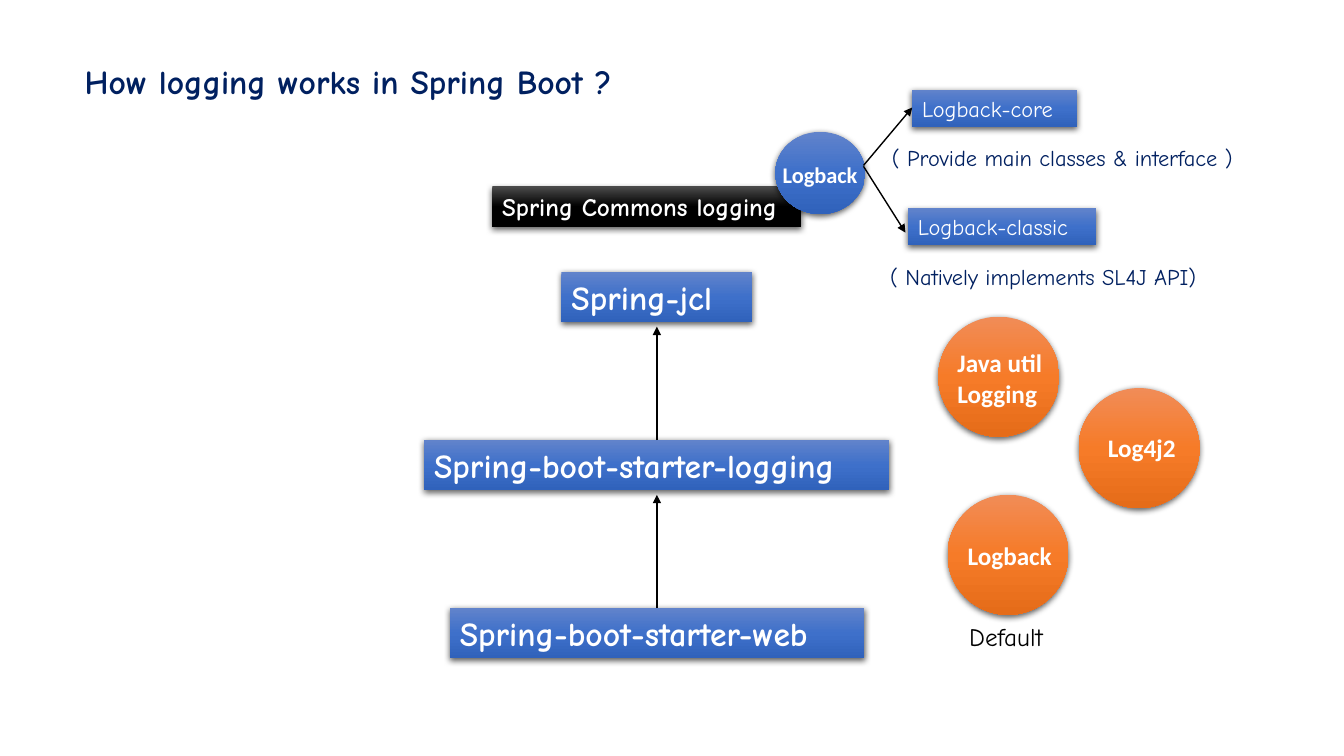
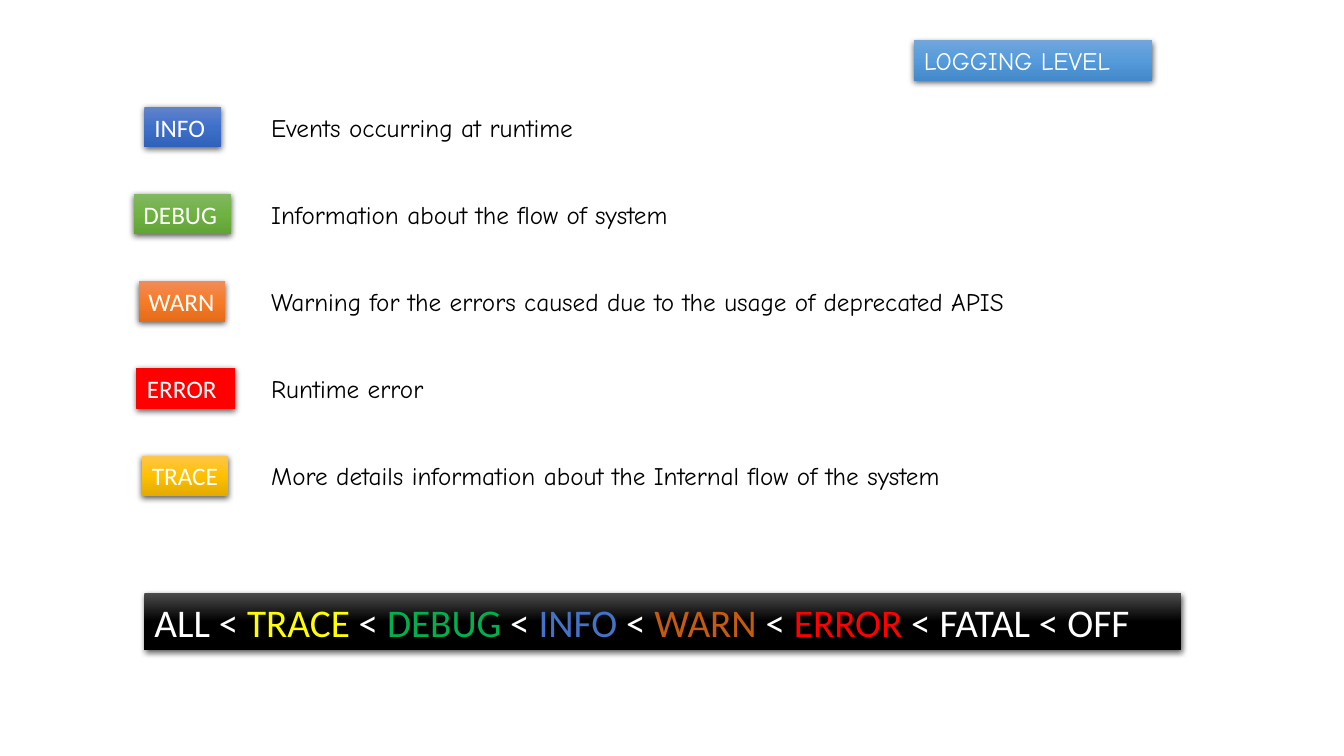
"""Build two slides on logging: how the parts connect, and the log levels."""
from copy import deepcopy
from itertools import pairwise
from typing import NamedTuple

from lxml.etree import SubElement
from pptx import Presentation
from pptx.dml.color import RGBColor as RGB
from pptx.enum.shapes import MSO_CONNECTOR as Link, MSO_SHAPE as Kind
from pptx.enum.text import MSO_ANCHOR as Anchor, MSO_AUTO_SIZE as Fit, PP_ALIGN as Align
from pptx.oxml.ns import qn
from pptx.shapes.autoshape import Shape
from pptx.slide import Slide
from pptx.util import Emu, Inches, Pt

WIDE, HIGH = Inches(13.33), Inches(7.5)
COLS, ROWS = 160, 90
COMIC, PLAIN = "Comic Neue", "Calibri"

WHITE = RGB(0xFF, 0xFF, 0xFF)
BLACK = RGB(0x00, 0x00, 0x00)
NAVY = RGB(0x00, 0x20, 0x60)
RED = RGB(0xFF, 0x00, 0x00)
YELLOW = RGB(0xFF, 0xFF, 0x00)
LEAF = RGB(0x00, 0xB0, 0x50)
AZURE = RGB(0x44, 0x72, 0xC4)
RUST = RGB(0xC5, 0x5A, 0x11)

Shade = tuple[RGB, ...]
BLUE: Shade = (RGB(0x61, 0x83, 0xCB), RGB(0x3E, 0x70, 0xCA), RGB(0x30, 0x62, 0xBB))
ORANGE: Shade = (RGB(0xF1, 0x8C, 0x57), RGB(0xF6, 0x7B, 0x28), RGB(0xE5, 0x6C, 0x19))
GREEN: Shade = (RGB(0x81, 0xB8, 0x61), RGB(0x6F, 0xB2, 0x42), RGB(0x62, 0xA3, 0x36))
GOLD: Shade = (RGB(0xFF, 0xC6, 0x4B), RGB(0xFF, 0xC0, 0x00), RGB(0xE3, 0xAB, 0x00))
SKY: Shade = (RGB(0x71, 0xA6, 0xDB), RGB(0x55, 0x9B, 0xDB), RGB(0x44, 0x8A, 0xCA))
DARK: Shade = (RGB(0x4B, 0x4B, 0x4B), BLACK, BLACK)
ALERT: Shade = (RED,)


class Box(NamedTuple):
    col: float
    row: float
    cols: float
    rows: float


class Style(NamedTuple):
    size: int
    font: str = COMIC
    color: RGB = WHITE
    bold: bool = False


class Piece(NamedTuple):
    text: str
    color: RGB = WHITE


class Label(NamedTuple):
    box: Box
    lines: tuple[str, ...]
    style: Style
    shade: Shade = ()


class Disc(NamedTuple):
    box: Box
    shade: Shade
    label: Label


class Arrow(NamedTuple):
    col: float
    row: float
    to_col: float
    to_row: float


class Layer(NamedTuple):
    text: str
    cols: float


class Level(NamedTuple):
    name: str
    col: float
    cols: float
    shade: Shade
    gloss: str


TITLE = Style(24, color=NAVY, bold=True)
STACK = Style(24, bold=True)
BAND = Style(18, bold=True)
HEAD = Style(18)
PART = Style(16)
NOTE = Style(16, color=NAVY)
BODY = Style(18, color=BLACK)
TAG = Style(18, PLAIN)
BALL = Style(18, PLAIN, bold=True)
SMALL = Style(16, PLAIN, bold=True)
CHAIN = Style(28, PLAIN)

MID, BASE, STEP, TALL, GAP = 78.2, 72.4, 20, 6, 0.5
LAYERS = (
    Layer("Spring-boot-starter-web", 49.3),
    Layer("Spring-boot-starter-logging", 55.4),
    Layer("Spring-jcl", 22.7),
)
DISCS = (
    Disc(Box(111.7, 37.7, 14.4, 14.3), ORANGE,
         Label(Box(112.8, 40.8, 14.4, 8.5), ("Java util", "Logging"), BALL)),
    Disc(Box(128.4, 46.2, 14.4, 14.3), ORANGE,
         Label(Box(130.7, 50.9, 12, 4.8), ("Log4j2",), BALL)),
    Disc(Box(112.8, 58.9, 14.4, 14.3), ORANGE,
         Label(Box(114, 63.7, 14.4, 4.8), ("Logback",), BALL)),
    Disc(Box(92.3, 15.7, 10.7, 9.8), BLUE,
         Label(Box(92, 18.6, 14.4, 4.4), ("Logback",), SMALL)),
)
BRIDGE = Label(Box(58.6, 22.2, 36.8, 4.8), ("Spring Commons logging",), BAND, DARK)
PARTS = (
    Label(Box(8.9, 6.7, 71.2, 6), ("How logging works in Spring Boot ?",), TITLE),
    Label(Box(114.2, 73.4, 13.9, 4.8), ("Default",), BODY),
    Label(Box(108.6, 10.7, 19.6, 4.4), ("Logback-core",), PART, BLUE),
    Label(Box(108.1, 24.8, 22.4, 4.4), ("Logback-classic",), PART, BLUE),
    Label(Box(105, 16.6, 46.8, 4.4), ("( Provide main classes & interface )",), NOTE),
    Label(Box(104.8, 30.7, 46.8, 4.4), ("( Natively implements SL4J API)",), NOTE),
)
FORKS = (Arrow(102.8, 19.7, 108.6, 12.8), Arrow(102.8, 19.8, 107.8, 27.7))

TOP, PITCH, LINE = 12.75, 10.37, 4.8
GLOSS, SPAN = 31.1, 112
LEVELS = (
    Level("INFO", 17.2, 9.1, BLUE, "Events occurring at runtime"),
    Level("DEBUG", 15.9, 11.6, GREEN, "Information about the flow of system"),
    Level("WARN", 16.5, 10.3, ORANGE,
          "Warning for the errors caused due to the usage of deprecated APIS"),
    Level("ERROR", 16.3, 11.6, ALERT, "Runtime error"),
    Level("TRACE", 16.9, 10.3, GOLD,
          "More details information about the Internal flow of the system"),
)
HEADING = Label(Box(108.8, 4.8, 28.4, LINE), ("LOGGING LEVEL",), HEAD, SKY)
RANK_BOX = Box(17.2, 70.6, 123.4, 6.8)
RANKS = (
    Piece("ALL"), Piece("TRACE", YELLOW), Piece("DEBUG", LEAF), Piece("INFO", AZURE),
    Piece("WARN", RUST), Piece("ERROR", RED), Piece("FATAL"), Piece("OFF"),
)


def across(cols: float) -> Emu:
    """Turn grid columns into a length."""
    return Emu(round(WIDE * cols / COLS))


def down(rows: float) -> Emu:
    """Turn grid rows into a length."""
    return Emu(round(HIGH * rows / ROWS))


def place(box: Box) -> tuple[Emu, Emu, Emu, Emu]:
    """Turn a grid box into left, top, width and height."""
    return across(box.col), down(box.row), across(box.cols), down(box.rows)


def paint(shape: Shape, shade: Shade) -> None:
    """Fill a shape with one colour or a downward blend, and cast a shadow."""
    if len(shade) == 1:
        shape.fill.solid()
        shape.fill.fore_color.rgb = shade[0]
        shape.line.color.rgb = shade[0]
        shape.line.width = Pt(0.75)
    else:
        shape.fill.gradient()
        shape.fill.gradient_angle = 270
        stops = shape.element.spPr.find(qn("a:gradFill")).find(qn("a:gsLst"))
        stops.insert(1, deepcopy(stops[0]))
        for spot, (stop, color) in enumerate(zip(shape.fill.gradient_stops, shade)):
            stop.position = spot / 2
            stop.color.rgb = color
        shape.line.fill.background()
    shape.shadow.inherit = False
    glow = shape.element.spPr.find(qn("a:effectLst"))
    cast = SubElement(glow, qn("a:outerShdw"), blurRad=str(Pt(4.5)), dist=str(Pt(1.5)),
                      dir="5400000", algn="ctr", rotWithShape="0")
    tint = SubElement(cast, qn("a:srgbClr"), val=str(BLACK))
    SubElement(tint, qn("a:alpha"), val="63000")


def write(shape: Shape, lines: list[list[Piece]], style: Style) -> None:
    """Set lines of coloured runs in a shape."""
    frame = shape.text_frame
    frame.word_wrap = True
    frame.auto_size = Fit.SHAPE_TO_FIT_TEXT
    frame.vertical_anchor = Anchor.TOP
    for spot, pieces in enumerate(lines):
        para = frame.add_paragraph() if spot else frame.paragraphs[0]
        para.alignment = Align.LEFT
        for piece in pieces:
            run = para.add_run()
            run.text = piece.text
            run.font.name, run.font.size = style.font, Pt(style.size)
            run.font.bold = style.bold
            run.font.color.rgb = piece.color


def panel(slide: Slide, kind: Kind, box: Box, shade: Shade) -> Shape:
    """Add a painted shape."""
    shape = slide.shapes.add_shape(kind, *place(box))
    paint(shape, shade)
    return shape


def label(slide: Slide, item: Label) -> None:
    """Add text, on a painted box when it has a shade."""
    if item.shade:
        shape = panel(slide, Kind.RECTANGLE, item.box, item.shade)
    else:
        shape = slide.shapes.add_textbox(*place(item.box))
    write(shape, [[Piece(text, item.style.color)] for text in item.lines], item.style)


def disc(slide: Slide, item: Disc) -> None:
    """Add a round shape and its label."""
    panel(slide, Kind.OVAL, item.box, item.shade)
    label(slide, item.label)


def arrow(slide: Slide, item: Arrow) -> None:
    """Add a thin black arrow."""
    line = slide.shapes.add_connector(Link.STRAIGHT, across(item.col), down(item.row),
                                      across(item.to_col), down(item.to_row))
    line.line.color.rgb = BLACK
    line.line.width = Pt(1)
    SubElement(line.line._get_or_add_ln(), qn("a:tailEnd"), type="triangle")
    SubElement(line.element.spPr, qn("a:effectLst"))


def draw_flow(slide: Slide) -> None:
    """Draw the stack of starters and the loggers beside it."""
    rows = [BASE - STEP * spot for spot in range(len(LAYERS))]
    for layer, row in zip(LAYERS, rows):
        box = Box(MID - layer.cols / 2, row, layer.cols, TALL)
        label(slide, Label(box, (layer.text,), STACK, BLUE))
    for low, high in pairwise(rows):
        arrow(slide, Arrow(MID, low, MID, high + TALL + GAP))
    label(slide, BRIDGE)
    for item in DISCS:
        disc(slide, item)
    for item in PARTS:
        label(slide, item)
    for item in FORKS:
        arrow(slide, item)


def draw_levels(slide: Slide) -> None:
    """Draw the level tags, what they mean, and their order."""
    for spot, level in enumerate(LEVELS):
        row = TOP + PITCH * spot
        label(slide, Label(Box(level.col, row, level.cols, LINE), (level.name,), TAG, level.shade))
        label(slide, Label(Box(GLOSS, row, SPAN, LINE), (level.gloss,), BODY))
    ranks = [RANKS[0]]
    for rank in RANKS[1:]:
        ranks += [Piece(" < "), rank]
    write(panel(slide, Kind.RECTANGLE, RANK_BOX, DARK), [ranks], CHAIN)
    label(slide, HEADING)


def main() -> None:
    """Build and save the deck."""
    deck = Presentation()
    deck.slide_width, deck.slide_height = WIDE, HIGH
    for draw in (draw_flow, draw_levels):
        draw(deck.slides.add_slide(deck.slide_layouts[6]))
    deck.save("out.pptx")


main()
